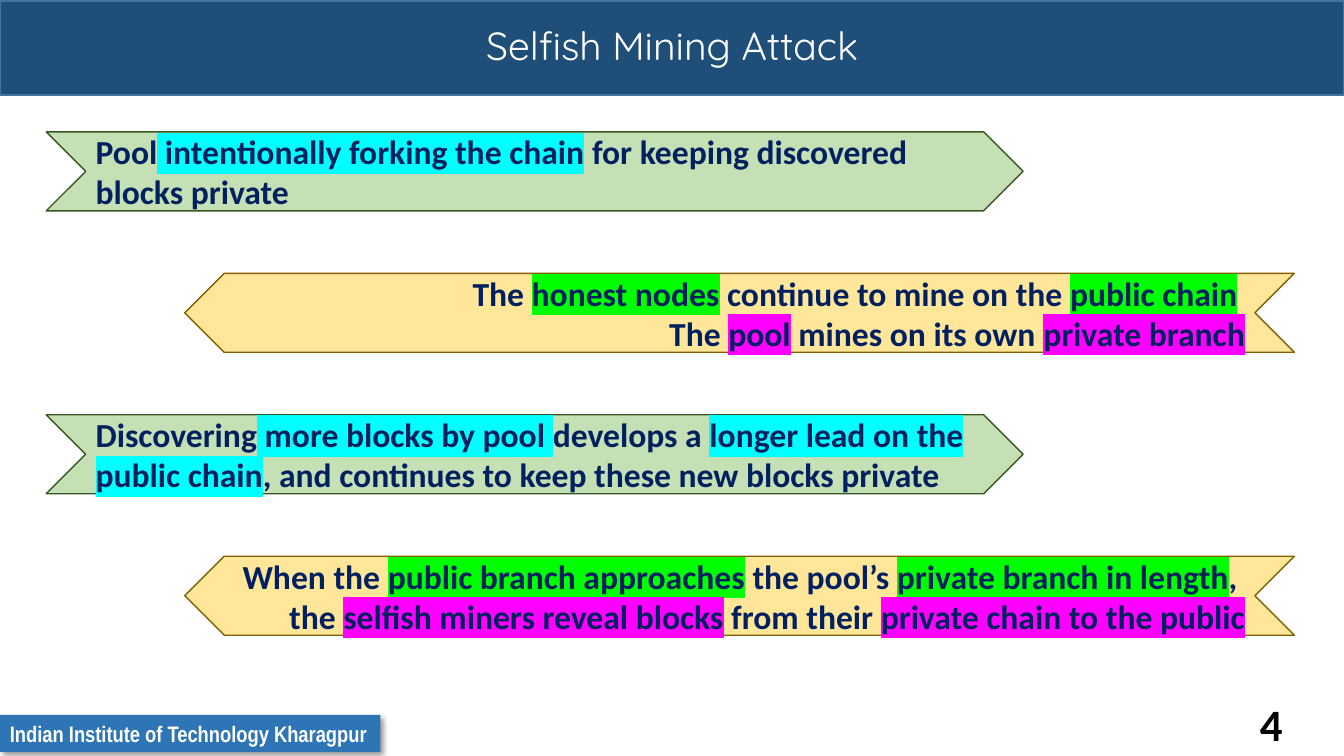
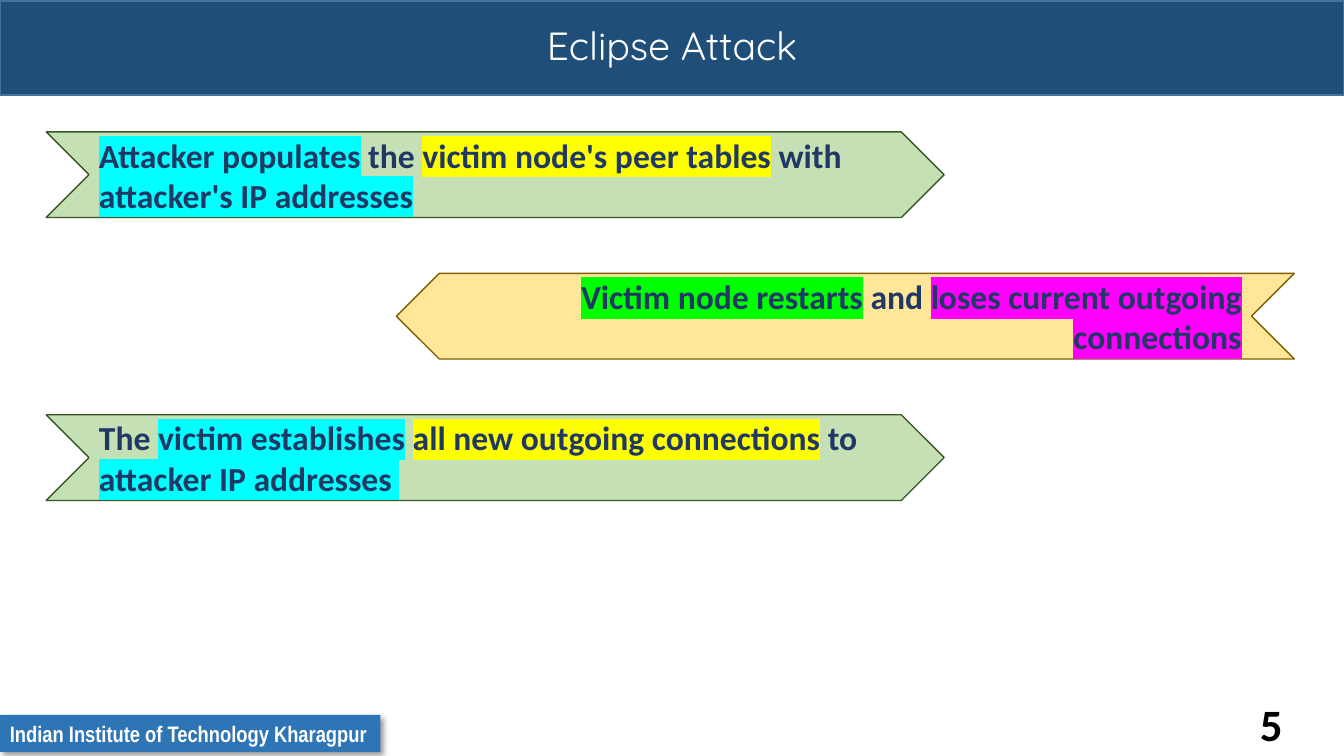
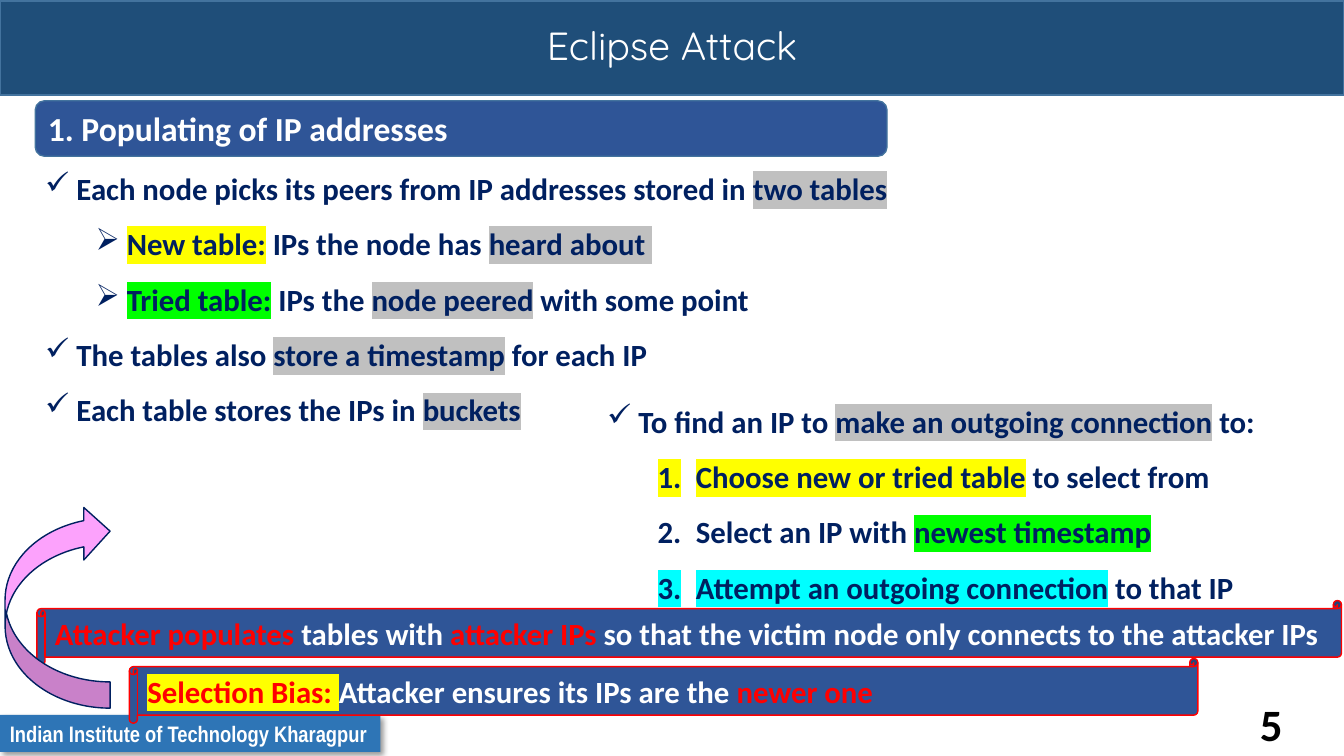
from lxml.etree import SubElement
from pptx import Presentation
from pptx.dml.color import RGBColor
from pptx.enum.shapes import MSO_SHAPE
from pptx.enum.text import MSO_ANCHOR, MSO_AUTO_SIZE, PP_ALIGN
from pptx.oxml import parse_xml
from pptx.oxml.ns import nsdecls, qn
from pptx.util import Inches, Pt

COLORS = {
    "band": "1F4E79", "edge": "43739E", "footer": "2E75B6", "panel": "2F5597",
    "green": "C5E0B4", "green_edge": "385723", "gold": "FFE699", "gold_edge": "806000",
    "navy": "002060", "slate": "203864", "white": "FFFFFF", "black": "000000",
    "red": "FF0000", "pink": "FCA2FC", "cyan": "00FFFF", "lime": "00FF00",
    "magenta": "FF00FF", "yellow": "FFFF00", "gray": "C0C0C0",
}

deck = Presentation()
deck.slide_width, deck.slide_height = Inches(13.33), Inches(7.5)
COLUMN = deck.slide_width / 160
ROW = deck.slide_height / 90
BAND = (0, 0.1, 160, 11.2)


def draw(page, preset, cells, fill=None, line=None):
    left, top, width, height = cells
    place = [round(left * COLUMN), round(top * ROW), round(width * COLUMN), round(height * ROW)]
    if preset is None:
        box = page.shapes.add_textbox(*place)
        box.text_frame.auto_size = MSO_AUTO_SIZE.SHAPE_TO_FIT_TEXT
        box.text_frame.word_wrap = True
        return box
    shape = page.shapes.add_shape(preset, *place)
    shape.shadow.inherit = False
    shape.fill.solid()
    shape.fill.fore_color.rgb = RGBColor.from_string(COLORS[fill])
    if line:
        shape.line.color.rgb = RGBColor.from_string(COLORS[line])
        shape.line.width = Pt(1)
    else:
        shape.line.fill.background()
    return shape


def write(box, pieces, size=24, color="navy", font="Calibri", bold=True,
          align=PP_ALIGN.LEFT, anchor=MSO_ANCHOR.TOP, spacing=None,
          bullet=None, level=0, indent=0, hang=0):
    frame = box.text_frame
    frame.vertical_anchor = anchor
    para = frame.paragraphs[0] if not frame.paragraphs[0].runs else frame.add_paragraph()
    para.alignment = align
    para.level = level
    if bullet:
        props = para._p.get_or_add_pPr()
        props.set("marL", str(Inches(indent)))
        props.set("indent", str(-Inches(hang)))
        if bullet == "number":
            SubElement(props, qn("a:buAutoNum")).set("type", "arabicPeriod")
        else:
            SubElement(props, qn("a:buChar")).set("char", bullet)
    if spacing:
        para.line_spacing = spacing
    for piece in pieces:
        piece = (piece,) if isinstance(piece, str) else piece
        text, mark, tint = (*piece, None, None)[:3]
        span = para.add_run()
        span.text = text
        span.font.size = Pt(size)
        span.font.name = font
        span.font.bold = bold
        span.font.color.rgb = RGBColor.from_string(COLORS[tint or color])
        if mark:
            span._r.get_or_add_rPr().find(qn("a:solidFill")).addnext(parse_xml(
                f'<a:highlight {nsdecls("a")}><a:srgbClr val="{COLORS[mark]}"/></a:highlight>'))


layout = deck.slide_layouts[5]
pages = []
for title, number in [("Selfish Mining Attack", "4"), ("Eclipse Attack", "5"), ("Eclipse Attack", "5")]:
    page = deck.slides.add_slide(layout)
    heading = page.shapes.title
    heading.left, heading.width = 0, deck.slide_width
    heading.top, heading.height = round(BAND[1] * ROW), round(BAND[3] * ROW)
    write(heading, [title], size=28, color="white", font="Quicksand", bold=False,
          align=PP_ALIGN.CENTER, anchor=MSO_ANCHOR.MIDDLE, spacing=0.9)
    write(draw(page, None, (148.8, 82.3, 10.4, 7.7)), [number], size=32, color="black")
    pages.append(page)

band = draw(pages[0], MSO_SHAPE.RECTANGLE, BAND, "band", "edge")
footer = draw(pages[0], MSO_SHAPE.RECTANGLE, (0, 85.1, 45.3, 4.4), "footer")
footer.text_frame.word_wrap = False
footer.text_frame.auto_size = MSO_AUTO_SIZE.SHAPE_TO_FIT_TEXT
write(footer, ["Indian Institute of Technology Kharagpur"], size=16, color="white", font="Arial Narrow")
footer.element.spPr.find(qn("a:effectLst")).append(parse_xml(
    f'<a:outerShdw {nsdecls("a")} blurRad="{Pt(4)}" dist="{Pt(3)}" dir="2700000" algn="tl" rotWithShape="0">'
    f'<a:srgbClr val="{COLORS["black"]}"><a:alpha val="40000"/></a:srgbClr></a:outerShdw>'))
for shape_id, shared in enumerate([band, footer], 20):
    shared.element.nvSpPr.cNvPr.set("id", str(shape_id))
    layout.shapes.element.append(shared.element)

selfish_steps = [
    [["Pool", (" intentionally forking the chain", "cyan"), " for keeping discovered blocks private"]],
    [["The ", ("honest nodes", "lime"), " continue to mine on the ", ("public chain", "lime"), " "],
     ["The ", ("pool", "magenta"), " mines on its own ", ("private branch", "magenta")]],
    [["Discovering", (" more blocks by pool ", "cyan"), "develops a ",
      ("longer lead on the public chain", "cyan"), ", and continues to keep these new blocks private"]],
    [["When the ", ("public branch approaches", "lime"), " the pool’s ",
      ("private branch in length", "lime"), ", "],
     ["the ", ("selfish miners reveal blocks", "magenta"), " from their ",
      ("private chain to the public", "magenta")]],
]
eclipse_steps = [
    [[("Attacker populates", "cyan"), " the ", ("victim node's peer tables", "yellow"), " with ",
      ("attacker's IP addresses", "cyan")]],
    [[("Victim node restarts", "lime"), " and ", ("loses current outgoing connections", "magenta")]],
    [["The ", ("victim establishes", "cyan"), " ", ("all new outgoing connections", "yellow"), " to ",
      ("attacker IP addresses ", "cyan")]],
]
LEFT_EDGE, RIGHT_EDGE, FIRST_ROW, ROW_STEP = 5.5, 154.1, 15.7, 16.84
for page, steps, widths, height, color in [
    (pages[0], selfish_steps, (116.3, 132.1), 9.4, "navy"),
    (pages[1], eclipse_steps, (106.9, 106.9), 10.2, "slate"),
]:
    for index, paragraphs in enumerate(steps):
        reply = index % 2
        width = widths[reply]
        left = RIGHT_EDGE - width if reply else LEFT_EDGE
        fill = "gold" if reply else "green"
        chevron = draw(page, MSO_SHAPE.CHEVRON, (left, FIRST_ROW + index * ROW_STEP, width, height),
                       fill, fill + "_edge")
        if reply:
            chevron.element.spPr.find(qn("a:xfrm")).set("flipH", "1")
        for pieces in paragraphs:
            write(chevron, pieces, color=color, anchor=MSO_ANCHOR.MIDDLE,
                  align=PP_ALIGN.RIGHT if reply else PP_ALIGN.LEFT)

page = pages[2]
section = draw(page, MSO_SHAPE.ROUNDED_RECTANGLE, (4.2, 12, 101.4, 6.6), "panel", "edge")
write(section, ["1. Populating of IP addresses"], color="white", anchor=MSO_ANCHOR.MIDDLE)

check = {"bullet": "✓", "indent": 0.31, "hang": 0.31}
arrowhead = {"bullet": "➢", "level": 1, "indent": 0.81, "hang": 0.31}
numbered = {"bullet": "number", "level": 1, "indent": 0.88, "hang": 0.38}
tables = [
    (check, ["Each node picks its peers from IP addresses stored in ", ("two tables", "gray")]),
    (arrowhead, [("New table:", "yellow"), " IPs the node has ", ("heard about ", "gray")]),
    (arrowhead, [("Tried table:", "lime"), " IPs the ", ("node peered", "gray"), " with some point"]),
    (check, ["The tables also ", ("store a timestamp", "gray"), " for each IP"]),
    (check, ["Each table stores the IPs in ", ("buckets", "gray")]),
]
selection = [
    (check, ["To find an IP to ", ("make an outgoing connection", "gray"), " to:"]),
    (numbered, [("Choose new or tried table", "yellow"), " to select from"]),
    (numbered, ["Select an IP with ", ("newest timestamp", "lime")]),
    (numbered, [("Attempt an outgoing connection", "cyan"), " to that IP"]),
]
for cells, points in [((4.2, 17.4, 145.8, 33.8), tables), ((71.1, 45.1, 88.3, 27.8), selection)]:
    box = draw(page, None, cells)
    for style, pieces in points:
        write(box, pieces, size=22, spacing=1.5, **style)

for cells, pieces in [
    ((4.4, 71.5, 155.3, 7.7),
     [("Attacker populates", None, "red"), " tables with ", ("attacker IPs", None, "red"),
      " so that the victim node only connects to the attacker IPs"]),
    ((15.4, 78.4, 127.2, 7.7),
     [("Selection Bias: ", "yellow", "red"), "Attacker ensures its IPs are the ",
      ("newer one", None, "red")]),
]:
    scroll = draw(page, MSO_SHAPE.HORIZONTAL_SCROLL, cells, "panel", "red")
    write(scroll, pieces, size=22, color="white", anchor=MSO_ANCHOR.MIDDLE)

loop_arrow = draw(page, MSO_SHAPE.CURVED_RIGHT_ARROW, (0.6, 60.1, 12.5, 24.2), "pink", "navy")
loop_arrow.rotation = 180
loop_arrow.element.spPr.find(qn("a:xfrm")).set("flipH", "1")

deck.save("out.pptx")
